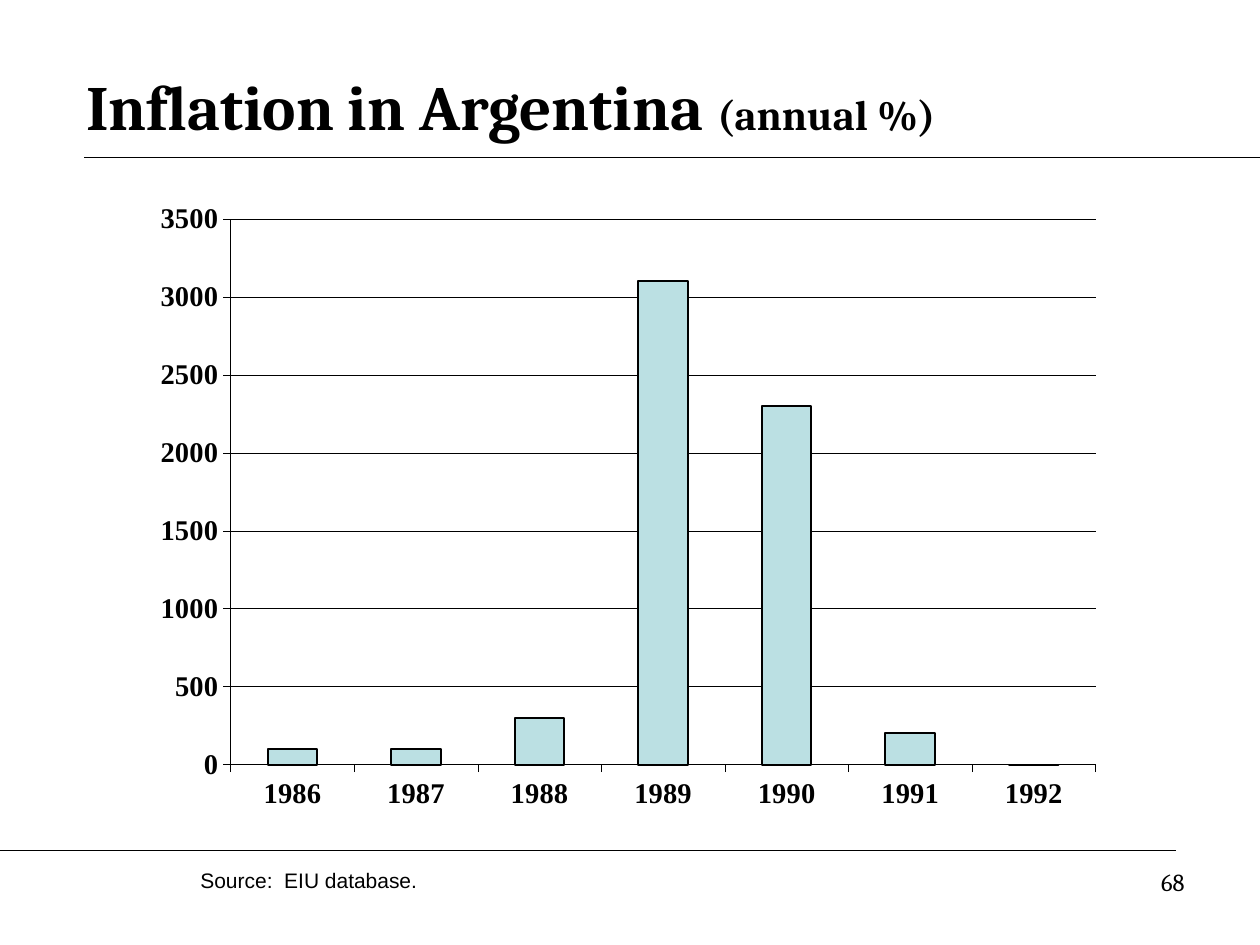
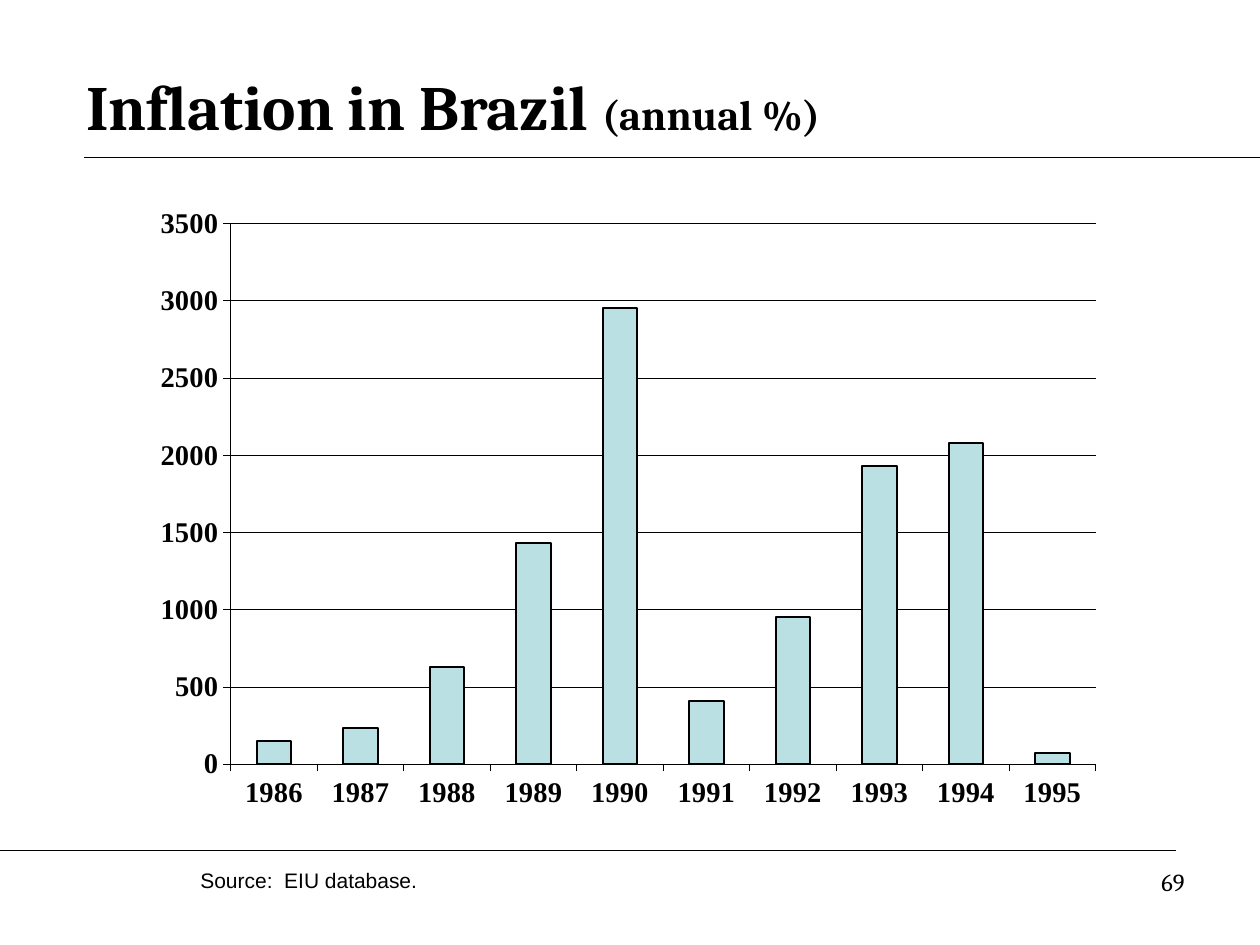
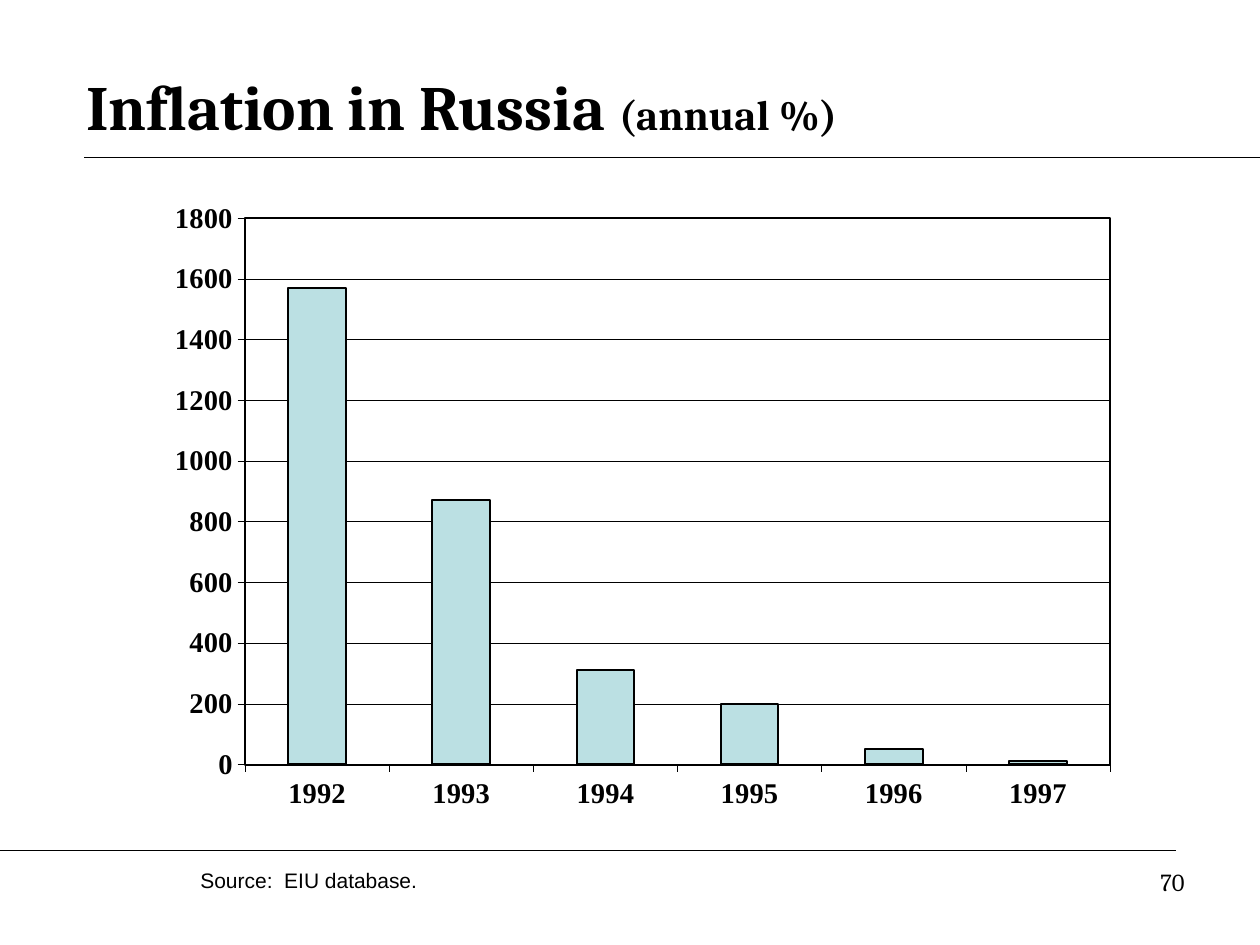
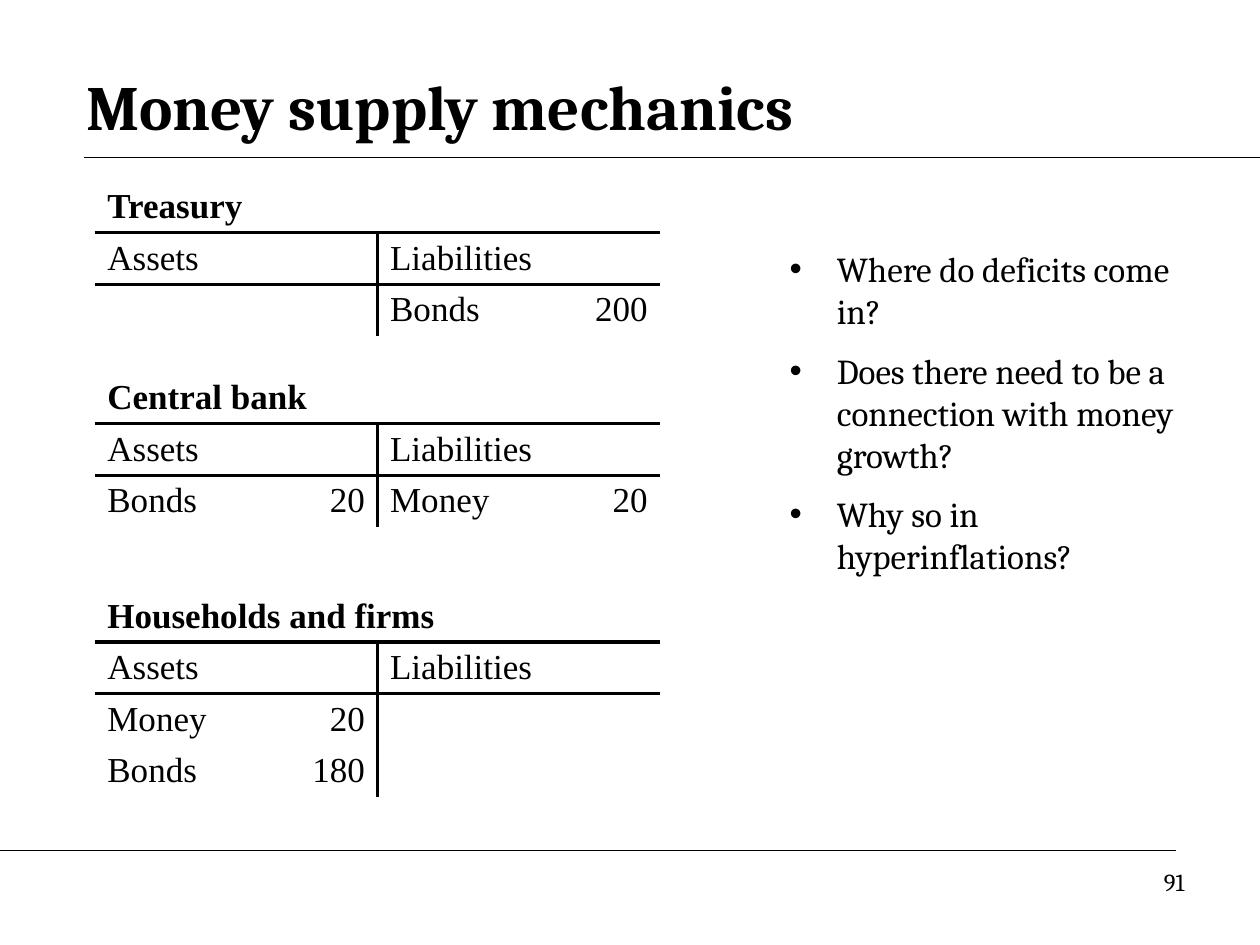
from lxml.etree import SubElement as Sub
from pptx import Presentation
from pptx.chart.data import CategoryChartData as Data
from pptx.dml.color import RGBColor as RGB
from pptx.enum.chart import XL_CHART_TYPE as Kind, XL_TICK_LABEL_POSITION as Spot
from pptx.enum.shapes import MSO_CONNECTOR as Link
from pptx.enum.text import MSO_ANCHOR as Anchor, MSO_AUTO_SIZE as Auto, PP_ALIGN as Align
from pptx.oxml.ns import qn
from pptx.util import Cm, Pt

BLACK = RGB(0x00, 0x00, 0x00)
AQUA = RGB(0xBB, 0xE0, 0xE3)

HEAD = {"name": "Cambria", "size": Pt(36), "bold": True}
UNIT = {**HEAD, "size": Pt(24)}
BODY = {"name": "Cambria", "size": Pt(20)}
PAGE = {"name": "Cambria", "size": Pt(14)}
NOTE = {"name": "Arial", "size": Pt(12)}
CELL = {"name": "Times New Roman", "size": Pt(20), "bold": False}
TOP = {**CELL, "bold": True}
PLOT = {"name": "Times New Roman", "size": Pt(21), "bold": True}
TICK = {**PLOT, "size": Pt(16.3)}
PLAIN = "{2D5ABB26-0587-4C30-8999-92F81FD0307C}"

HEAD_BOX = (1.48, 1.07, 22.02, 2.11)
FOOT_BOX = (0, 17.15, 25.4, 1.9)
LIST_BOX = (15.67, 4.87, 8.69, 11.63)
LEFT, COLS, ROW = 1.91, (3.75, 1.95, 2.85, 2.85), 1.04

CHARTS = [
    ("Argentina", 68, (2.9, 3.94, 19.46, 12.88), (9, 3.7, 89.6, 85.4), 1986,
     (100, 100, 300, 3100, 2300, 200, 0), False),
    ("Brazil", 69, (2.9, 3.94, 19.46, 12.88), (9, 4.4, 89.6, 84.6), 1986,
     (150, 230, 630, 1430, 2950, 410, 950, 1930, 2080, 70), False),
    ("Russia", 70, (3.19, 3.95, 19.46, 12.88), (9, 3.5, 89.6, 85.5), 1992,
     (1570, 870, 310, 200, 50, 10), True),
]
SHEETS = [
    (3.65, "Treasury", [("", "", "Bonds", "200")]),
    (7.5, "Central bank", [("Bonds", "20", "Money", "20")]),
    (11.9, "Households and firms",
     [("Money", "20", "", ""), ("Bonds", "180", "", "")]),
]
POINTS = [
    "Where do deficits come in?",
    "Does there need to be a connection with money growth?",
    "Why so in hyperinflations?",
]


def apply(item, form):
    for key, val in form.items():
        setattr(item, key, val)


def style(font, form):
    apply(font, form)
    font.color.rgb = BLACK


def write(para, text, form):
    run = para.add_run()
    run.text = text
    style(run.font, form)


def stroke(line, width):
    line.color.rgb = BLACK
    line.width = Pt(width)


def rule(slide, start, end, y):
    line = slide.shapes.add_connector(
        Link.STRAIGHT, Cm(start), Cm(y), Cm(end), Cm(y))
    stroke(line.line, 0.75)
    Sub(line.element.spPr, qn("a:effectLst"))
    return line


def add_text(slide, box):
    frame = slide.shapes.add_textbox(*map(Cm, box)).text_frame
    frame.word_wrap = True
    return frame


def share_rules(slide, layout):
    for start, end, y in ((1.7, 25.4, 3.18), (0, 23.7, 17.15)):
        layout.shapes.element.append(rule(slide, start, end, y).element)


def add_head(slide, box, parts):
    x, y, w, h = box
    title = slide.shapes.title
    apply(title, dict(zip(("left", "top", "width", "height"), map(Cm, box))))
    frame = title.text_frame
    apply(frame, {"word_wrap": True, "auto_size": Auto.NONE,
                  "vertical_anchor": Anchor.MIDDLE})
    para = frame.paragraphs[0]
    para.alignment = Align.LEFT
    for text, form in parts:
        write(para, text, form)
    rule(slide, x + 1.7, 25.4, y + h)


def add_foot(slide, box, page, note=None):
    x, y, w, h = box
    rule(slide, x, x + 17.98, y)
    para = add_text(slide, (x + 18.21, y + 0.2, 5.92, 1.32)).paragraphs[0]
    para.alignment = Align.RIGHT
    write(para, str(page), PAGE)
    if note:
        frame = add_text(slide, (x + 3.79, y + 0.21, 17.35, 0.76))
        write(frame.paragraphs[0], note, NOTE)


def set_plot(chart, inner, framed):
    area = chart.element.chart.plotArea
    for old in area.findall(qn("c:layout")):
        area.remove(old)
    layout = Sub(area, qn("c:layout"))
    area.insert(0, layout)
    manual = Sub(layout, qn("c:manualLayout"))
    for tag, val in (("layoutTarget", "inner"), ("xMode", "edge"), ("yMode", "edge")):
        Sub(manual, qn(f"c:{tag}"), val=val)
    for tag, part in zip("xywh", inner):
        Sub(manual, qn(f"c:{tag}"), val=str(part / 100))
    if framed:
        props = Sub(area, qn("c:spPr"))
        Sub(props, qn("a:noFill"))
        add_line(props, "ln", 1.17)


def add_line(props, tag, width):
    line = Sub(props, qn(f"a:{tag}"), w=str(Pt(width)))
    if width:
        fill = Sub(line, qn("a:solidFill"))
        Sub(fill, qn("a:srgbClr"), val=str(BLACK))
    else:
        Sub(line, qn("a:noFill"))


def add_bars(slide, box, inner, first, vals, framed):
    data = Data(number_format="0")
    data.categories = [str(first + i) for i in range(len(vals))]
    data.add_series("Series 1", vals)
    chart = slide.shapes.add_chart(
        Kind.COLUMN_CLUSTERED, *map(Cm, box), data).chart
    apply(chart, {"has_title": False, "has_legend": False})
    style(chart.font, PLOT)
    for axis in (chart.category_axis, chart.value_axis):
        style(axis.tick_labels.font, TICK)
        stroke(axis.format.line, 0.29)
    chart.category_axis.tick_label_position = Spot.LOW
    apply(chart.value_axis.tick_labels,
          {"number_format": "0", "number_format_is_linked": False})
    stroke(chart.value_axis.major_gridlines.format.line, 0.29)
    plot = chart.plots[0]
    apply(plot, {"gap_width": 150, "vary_by_categories": False})
    bars = plot.series[0].format
    bars.fill.solid()
    bars.fill.fore_color.rgb = AQUA
    stroke(bars.line, 1.17)
    set_plot(chart, inner, framed)


def add_edges(cell, row, col):
    props = cell._tc.get_or_add_tcPr()
    edges = {
        "lnL": row > 0 and col == 2,
        "lnR": row > 0 and col == 1 or (row, col) == (1, 0),
        "lnT": row in (1, 2),
        "lnB": row in (0, 1),
    }
    for tag, shown in edges.items():
        add_line(props, tag, 2.25 if shown else 0)


def add_sheet(slide, left, top, name, items):
    rows = [(name, "", "", ""), ("Assets", "", "Liabilities", ""), *items]
    box = (left, top, sum(COLS), ROW * len(rows))
    table = slide.shapes.add_table(len(rows), len(COLS), *map(Cm, box)).table
    apply(table, {"first_row": False, "horz_banding": False})
    table._tbl.tblPr.find(qn("a:tableStyleId")).text = PLAIN
    for col, width in zip(table.columns, COLS):
        col.width = Cm(width)
    for r, texts in enumerate(rows):
        table.rows[r].height = Cm(ROW)
        for c, text in enumerate(texts):
            cell = table.cell(r, c)
            add_edges(cell, r, c)
            cell.fill.background()
            apply(cell, {"vertical_anchor": Anchor.MIDDLE,
                         "margin_top": Cm(0.1), "margin_bottom": Cm(0.1)})
            if text:
                para = cell.text_frame.paragraphs[0]
                para.alignment = Align.RIGHT if c % 2 else Align.LEFT
                write(para, text, CELL if r else TOP)
    for r, start, end in ((0, 0, 3), (1, 0, 1), (1, 2, 3)):
        table.cell(r, start).merge(table.cell(r, end))


def add_points(slide, box, items):
    frame = add_text(slide, box)
    for i, text in enumerate(items):
        para = frame.add_paragraph() if i else frame.paragraphs[0]
        props = para._p.get_or_add_pPr()
        props.set("marL", str(Cm(0.95)))
        props.set("indent", str(Cm(-0.95)))
        Sub(props, qn("a:buFont"), typeface="Arial")
        Sub(props, qn("a:buChar"), char="•")
        para.space_before = Pt(10 if i else 0)
        write(para, text, BODY)


def main():
    deck = Presentation()
    apply(deck, {"slide_width": Cm(25.4), "slide_height": Cm(19.05)})
    layout = deck.slide_layouts[5]
    for place, page, *chart in CHARTS:
        slide = deck.slides.add_slide(layout)
        add_head(slide, HEAD_BOX,
                 [(f"Inflation in {place} ", HEAD), ("(annual %)", UNIT)])
        add_bars(slide, *chart)
        add_foot(slide, FOOT_BOX, page, "Source:  EIU database.")
    slide = deck.slides.add_slide(layout)
    share_rules(slide, layout)
    add_head(slide, HEAD_BOX, [("Money supply mechanics", HEAD)])
    for top, name, items in SHEETS:
        add_sheet(slide, LEFT, top, name, items)
    add_points(slide, LIST_BOX, POINTS)
    add_foot(slide, FOOT_BOX, 91)
    deck.save("out.pptx")


if __name__ == "__main__":
    main()
